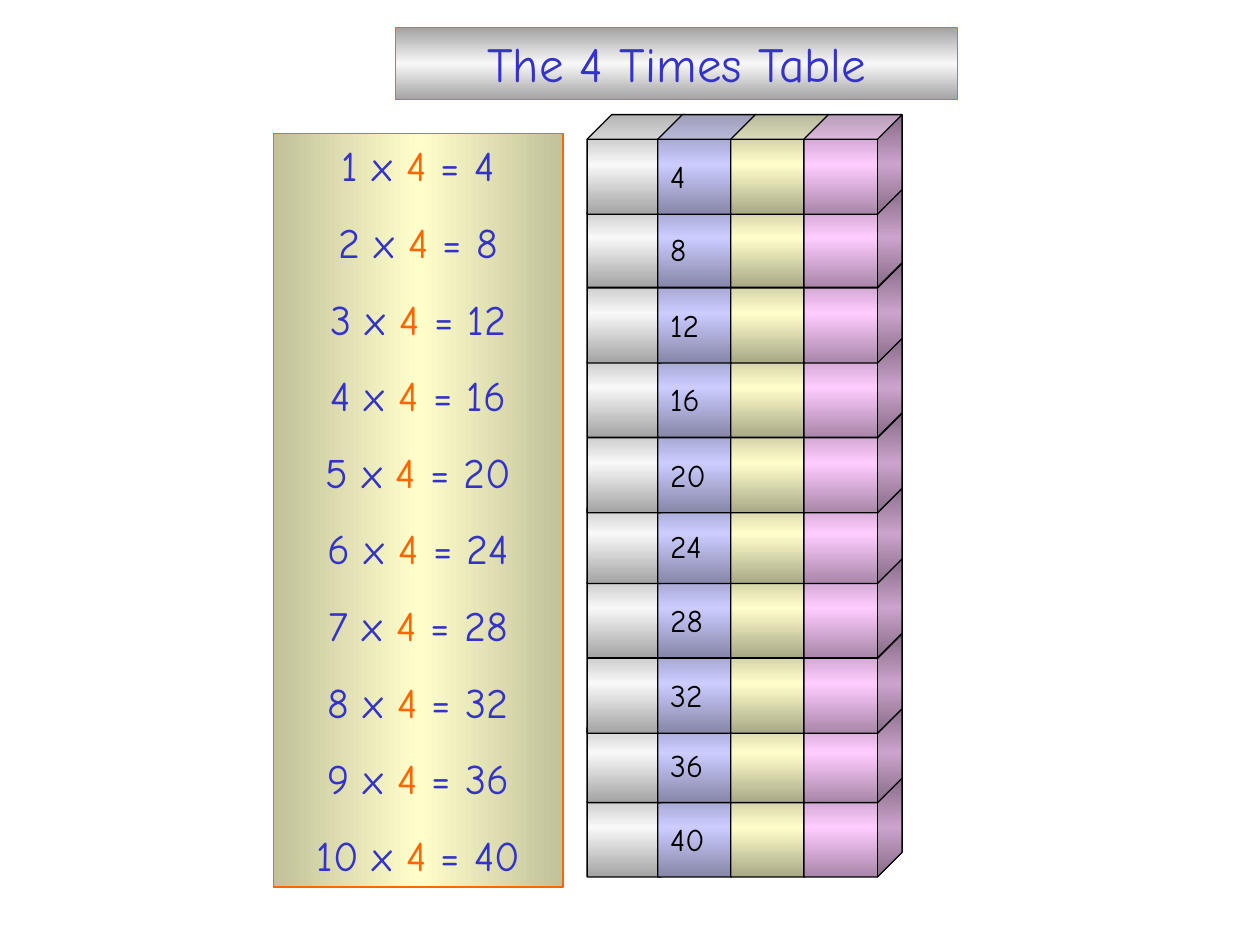
from copy import deepcopy

from pptx import Presentation
from pptx.dml.color import RGBColor
from pptx.enum.shapes import MSO_SHAPE
from pptx.enum.text import MSO_ANCHOR, MSO_AUTO_SIZE, PP_ALIGN
from pptx.oxml.ns import qn
from pptx.util import Inches, Pt

CUBE, RECTANGLE = MSO_SHAPE.CUBE, MSO_SHAPE.RECTANGLE
TOP, GROW = MSO_ANCHOR.TOP, MSO_AUTO_SIZE.SHAPE_TO_FIT_TEXT
LEFT, CENTER = PP_ALIGN.LEFT, PP_ALIGN.CENTER

THEME = {
    "font": "Comic Neue",
    "blue": "3333CC", "orange": "FF6600", "black": "000000",
    # Gradients run from the edge colour to the middle colour and back
    "grey_fill": ("A3A3A3", "F8F8F8"),
    "blue_fill": ("8686A8", "CCCCFF"),
    "yellow_fill": ("A8A886", "FFFFCC"),
    "pink_fill": ("A886A8", "FFCCFF"),
    "panel_fill": ("C1C19A", "FFFFCC"),
    "title_size": 28, "sum_size": 24, "label_size": 18,
}
FACTOR = 4


def add_gradient_shape(shapes, kind, box, colors, angle, line_color):
    shape = shapes.add_shape(kind, *map(Inches, box))
    shape.shadow.inherit = False
    shape.fill.gradient()
    shape.fill.gradient_angle = angle
    stop_list = shape._element.spPr.find(qn("a:gradFill")).find(qn("a:gsLst"))
    stop_list.append(deepcopy(stop_list[0]))
    edge, middle = colors
    for stop, position, color in zip(shape.fill.gradient_stops, (0, 0.5, 1), (edge, middle, edge)):
        stop.position = position
        stop.color.rgb = RGBColor.from_string(color)
    shape.line.color.rgb = RGBColor.from_string(line_color)
    shape.line.width = Pt(0.75)
    return shape


def write_text(shape, lines, size, alignment, space_before=0):
    """Each line is a list of (text, colour name) runs."""
    frame = shape.text_frame
    frame_format = {"word_wrap": True, "auto_size": GROW, "vertical_anchor": TOP}
    for name, value in frame_format.items():
        setattr(frame, name, value)
    for index, runs in enumerate(lines):
        paragraph = frame.add_paragraph() if index else frame.paragraphs[0]
        paragraph.alignment = alignment
        paragraph.space_before = Pt(space_before if index else 0)
        for text, color in runs:
            run = paragraph.add_run()
            run.text = text
            for name, value in {"name": THEME["font"], "size": Pt(THEME[size])}.items():
                setattr(run.font, name, value)
            run.font.color.rgb = RGBColor.from_string(THEME[color])


presentation = Presentation()
presentation.slide_width, presentation.slide_height = Inches(10), Inches(7.5)
slide = presentation.slides.add_slide(presentation.slide_layouts[6])

# Tower of cubes, stacked from the bottom row up
row_tops = [0.91, 1.49, 2.09, 2.68, 3.28, 3.84, 4.43, 5.03, 5.58, 6.17]
columns = [(4.66, "grey_fill"), (5.22, "blue_fill"), (5.8, "yellow_fill"), (6.38, "pink_fill")]
for number, top in reversed(list(enumerate(row_tops, start=1))):
    row = slide.shapes.add_group_shape()
    for left, fill in columns:
        cube = add_gradient_shape(row.shapes, CUBE, (left, top, 0.78, 0.79),
                                  THEME[fill], 90, THEME["black"])
        cube.adjustments[0] = 0.25
    label = row.shapes.add_textbox(Inches(5.22), Inches(top + 0.29), Inches(0.75), Inches(0.4))
    write_text(label, [[(str(number * FACTOR), "black")]], "label_size", LEFT)

# Panel of sums
panel = add_gradient_shape(slide.shapes, RECTANGLE, (2.17, 1.06, 2.3, 5.98),
                           THEME["panel_fill"], 180, THEME["orange"])
sums = [[(f"{number} x ", "blue"), (str(FACTOR), "orange"), (f" = {number * FACTOR}", "blue")]
        for number in range(1, len(row_tops) + 1)]
write_text(panel, sums, "sum_size", CENTER, space_before=15)

# Title
title = add_gradient_shape(slide.shapes, RECTANGLE, (3.14, 0.22, 4.46, 0.57),
                           THEME["grey_fill"], 90, THEME["orange"])
write_text(title, [[(f"The {FACTOR} Times Table", "blue")]], "title_size", CENTER)

presentation.save("out.pptx")
